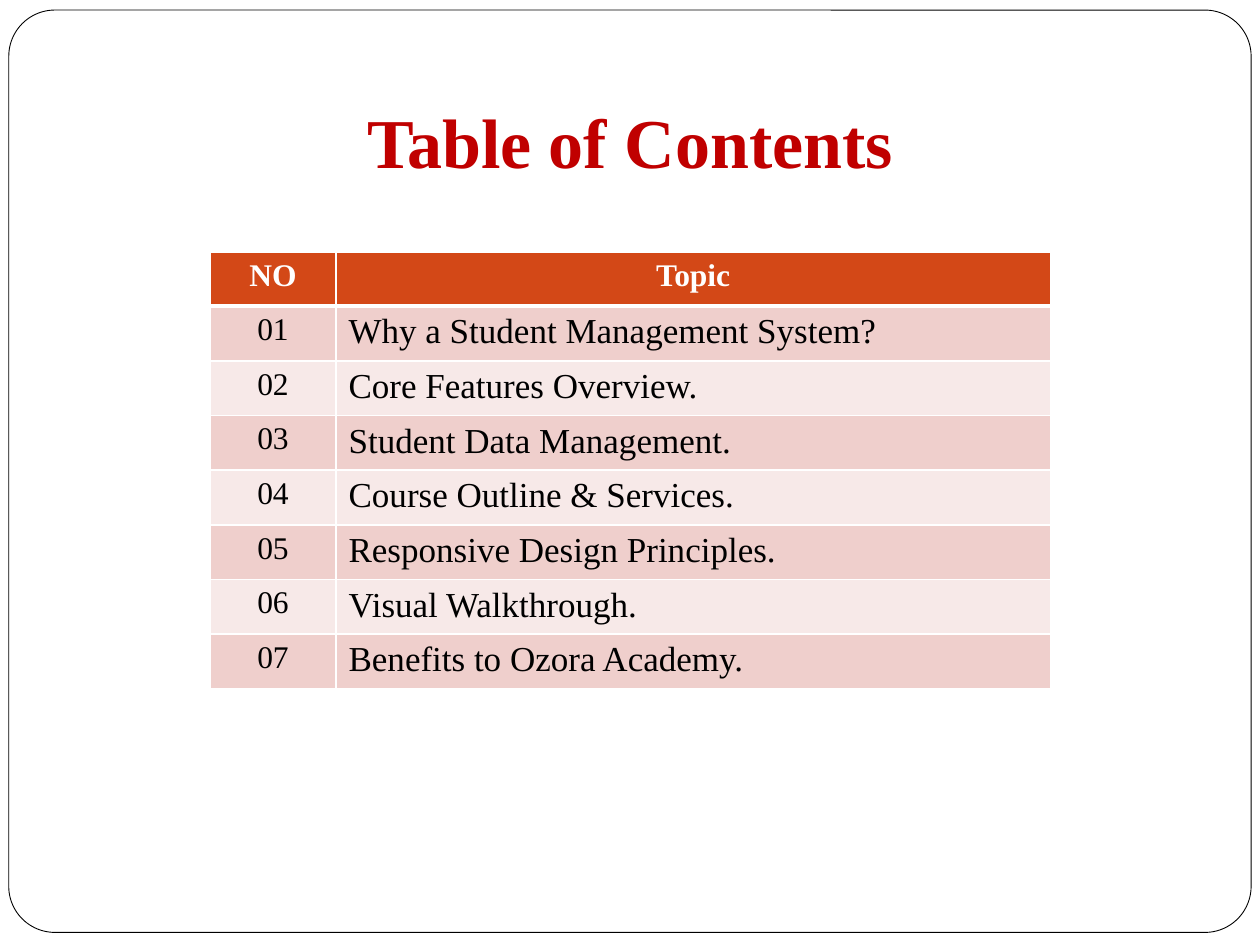
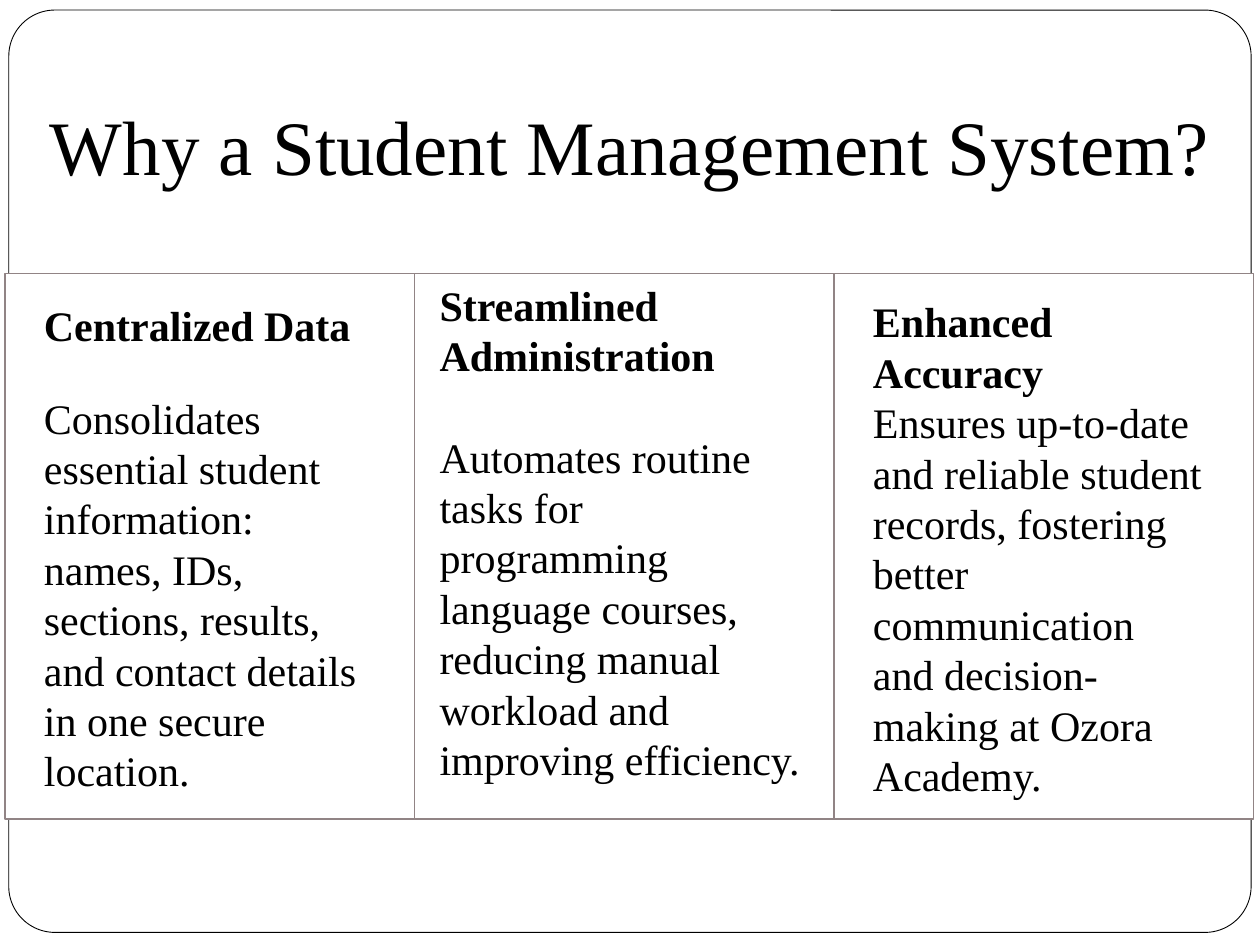
import pptx
import pptx.util
import pptx.dml.color
import pptx.enum.shapes
import pptx.enum.text
from lxml import etree
from pptx.oxml.ns import qn

Inches, Pt = pptx.util.Inches, pptx.util.Pt
ALIGN = pptx.enum.text.PP_ALIGN
ANCHOR = pptx.enum.text.MSO_ANCHOR
SHAPE = pptx.enum.shapes.MSO_SHAPE

WIDTH, HEIGHT = 10, 7.5
FONT = "Times New Roman"
BLACK, WHITE, RED = "000000", "FFFFFF", "C00000"
HEADER, BANDS, PANEL_LINE = "D34817", ("EFCFCC", "F7E9E8"), "918485"

CONTENTS = {"title": "Table of Contents", "size": 40, "color": RED, "bold": True,
            "at": (WIDTH / 6, 0.67, WIDTH * 2 / 3, 1.08)}
REASONS = {"title": "Why a Student Management System?", "size": 44, "color": BLACK,
           "bold": False, "at": (0, 0.67, WIDTH, 1.31)}

COLUMNS = ("NO", "Topic")
TOPICS = [
    "Why a Student Management System?",
    "Core Features Overview.",
    "Student Data Management.",
    "Course Outline & Services.",
    "Responsive Design Principles.",
    "Visual Walkthrough.",
    "Benefits to Ozora Academy.",
]
COLUMN_WIDTHS = (1, 5.67)
HEADER_HEIGHT, TOPIC_HEIGHT = 0.43, 0.434

PANEL_LEFT, PANEL_TOP, PANEL_HEIGHT = 0.04, 2.17, 4.33
PANELS = [
    {"width": 3.25, "text_at": (0.25, 2.33, 2.75, 4.07), "gap": 24,
     "heading": "Centralized Data",
     "body": "Consolidates essential student information: names, IDs, sections, "
             "results, and contact details in one secure location."},
    {"width": 3.33, "text_at": (3.39, 2.17, 3.17, 4.44), "gap": 29,
     "heading": "Streamlined Administration",
     "body": "Automates routine tasks for programming language courses, "
             "reducing manual workload and improving efficiency."},
    {"width": 3.33, "text_at": (6.83, 2.3, 2.83, 4.14), "gap": 0,
     "heading": "Enhanced Accuracy",
     "body": "Ensures up-to-date and reliable student records, fostering better "
             "communication and decision-making at Ozora Academy."},
]


def rgb(value):
    return pptx.dml.color.RGBColor.from_string(value)


def inches(lengths):
    return [Inches(length) for length in lengths]


def write(paragraph, text, size, color=BLACK, bold=False, align=ALIGN.LEFT):
    paragraph.text = text
    paragraph.alignment = align
    paragraph.font.name = FONT
    paragraph.font.size = Pt(size)
    paragraph.font.bold = bold
    paragraph.font.color.rgb = rgb(color)


def add_box(slide, kind, at, line, weight):
    box = slide.shapes.add_shape(kind, *inches(at))
    box.shadow.inherit = False
    box.fill.solid()
    box.fill.fore_color.rgb = rgb(WHITE)
    box.line.color.rgb = rgb(line)
    box.line.width = Pt(weight)
    return box


def add_titled_slide(deck, layout, heading):
    slide = deck.slides.add_slide(layout)
    title = slide.shapes.title
    title.left, title.top, title.width, title.height = inches(heading["at"])
    frame = title.text_frame
    frame.word_wrap = True
    frame.auto_size = pptx.enum.text.MSO_AUTO_SIZE.NONE
    frame.vertical_anchor = ANCHOR.TOP
    frame.margin_top = Inches(0.11)
    write(frame.paragraphs[0], heading["title"], heading["size"],
          heading["color"], heading["bold"], ALIGN.CENTER)
    return slide


def move_frame_to_layout(slide, layout):
    frame = add_box(slide, SHAPE.ROUNDED_RECTANGLE, (0.07, 0.08, 9.86, 7.32), BLACK, 0.5)
    frame.adjustments[0] = 0.05
    layout.shapes.element.insert(2, frame.element)


def style_cell(cell, fill, top, bottom):
    properties = cell._tc.get_or_add_tcPr()
    for side, weight in (("L", 1), ("R", 1), ("T", top), ("B", bottom)):
        border = etree.SubElement(properties, qn(f"a:ln{side}"), w=str(Pt(weight)))
        paint = etree.SubElement(border, qn("a:solidFill"))
        etree.SubElement(paint, qn("a:srgbClr"), val=WHITE)
    cell.fill.solid()
    cell.fill.fore_color.rgb = rgb(fill)


def add_topics(slide):
    rows = [COLUMNS] + [(f"{n:02}", topic) for n, topic in enumerate(TOPICS, 1)]
    heights = [HEADER_HEIGHT] + [TOPIC_HEIGHT] * len(TOPICS)
    at = (WIDTH / 6, 2, sum(COLUMN_WIDTHS), sum(heights))
    table = slide.shapes.add_table(len(rows), len(COLUMNS), *inches(at)).table
    for column, width in zip(table.columns, COLUMN_WIDTHS):
        column.width = Inches(width)
    for r, (row, height) in enumerate(zip(rows, heights)):
        table.rows[r].height = Inches(height)
        header = r == 0
        for c, text in enumerate(row):
            cell = table.cell(r, c)
            style_cell(cell, HEADER if header else BANDS[(r - 1) % 2],
                       3 if r == 1 else 1, 3 if header else 1)
            topic = c == 1 and not header
            write(cell.text_frame.paragraphs[0], text, 20 if topic else 18,
                  WHITE if header else BLACK, header,
                  ALIGN.LEFT if topic else ALIGN.CENTER)


def add_panels(slide):
    left = PANEL_LEFT
    for panel in PANELS:
        add_box(slide, SHAPE.RECTANGLE, (left, PANEL_TOP, panel["width"], PANEL_HEIGHT),
                PANEL_LINE, 1)
        left += panel["width"]
    for panel in PANELS:
        frame = slide.shapes.add_textbox(*inches(panel["text_at"])).text_frame
        frame.word_wrap = True
        heading, body = frame.paragraphs[0], frame.add_paragraph()
        write(heading, panel["heading"], 24, bold=True)
        write(body, panel["body"], 24)
        body.space_before = Pt(panel["gap"])
        for paragraph in (heading, body):
            paragraph.line_spacing = Pt(28.8)


def main():
    deck = pptx.Presentation()
    deck.slide_width, deck.slide_height = inches((WIDTH, HEIGHT))
    layout = deck.slide_layouts[5]
    contents = add_titled_slide(deck, layout, CONTENTS)
    move_frame_to_layout(contents, layout)
    add_topics(contents)
    add_panels(add_titled_slide(deck, layout, REASONS))
    deck.save("out.pptx")


if __name__ == "__main__":
    main()
